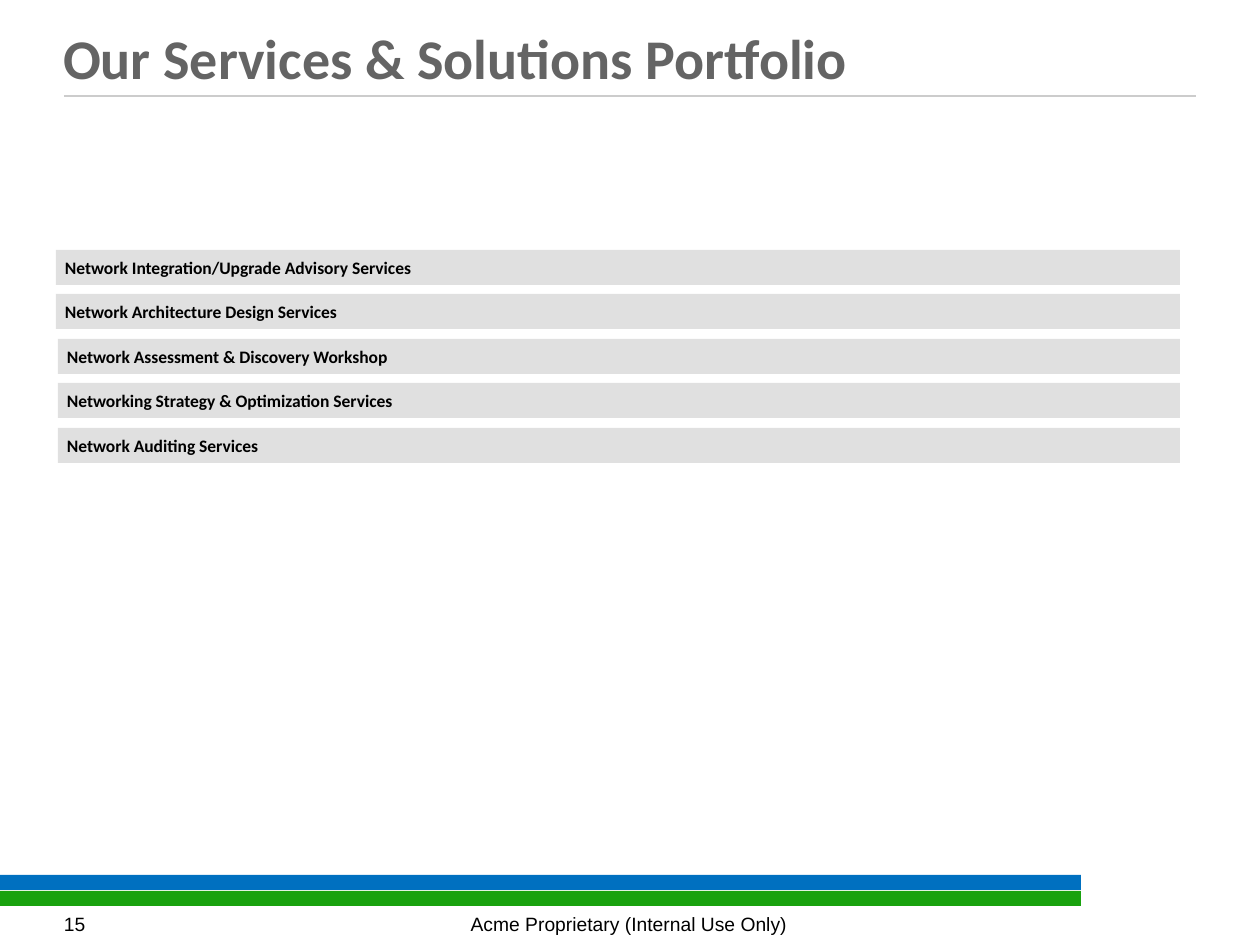
import pptx
import pptx.dml.color
import pptx.enum.shapes
import pptx.enum.text
import pptx.oxml.ns
import pptx.util
from lxml import etree

TITLE = "Our Services & Solutions Portfolio"
SERVICES = [
    ("Network Integration/Upgrade Advisory Services", 56),
    ("Network Architecture Design Services", 56),
    ("Network Assessment & Discovery Workshop", 58),
    ("Networking Strategy & Optimization Services", 58),
    ("Network Auditing Services", 58),
]
STRIPES = [("blue", 875), ("green", 891)]
FOOTERS = [
    ("15", (64, 912, 110, 23), "LEFT"),
    ("Acme Proprietary (Internal Use Only)", (392, 912, 474, 23), "CENTER"),
]
COLORS = {
    "blue": "0070C0",
    "green": "19A20E",
    "rule": "CCCCCC",
    "title": "646464",
    "bar": "E0E0E0",
    "text": "000000",
}
BAR_TOP, BAR_HEIGHT, BAR_RIGHT = 250, 35, 1180
TWO_BAR_PITCH = 89
PX = 914400 // 126


def px(*lengths):
    return [pptx.util.Emu(length * PX) for length in lengths]


def rgb(name):
    return pptx.dml.color.RGBColor.from_string(COLORS[name])


def write(shape, text, size, font="Calibri", color="text", bold=False,
          align="LEFT", anchor="MIDDLE", margins=(0, 0), spacing=None):
    frame = shape.text_frame
    frame.word_wrap = True
    frame.auto_size = pptx.enum.text.MSO_AUTO_SIZE.NONE
    frame.vertical_anchor = pptx.enum.text.MSO_ANCHOR[anchor]
    frame.margin_left, frame.margin_top = px(*margins)
    frame.margin_right, frame.margin_bottom = px(*margins)
    frame.text = text
    paragraph = frame.paragraphs[0]
    paragraph.alignment = pptx.enum.text.PP_ALIGN[align]
    if spacing:
        paragraph.line_spacing = spacing
    run_font = paragraph.runs[0].font
    run_font.name = font
    run_font.size = pptx.util.Pt(size)
    run_font.bold = bold
    run_font.color.rgb = rgb(color)


def add_bar(slide, box, color):
    bar = slide.shapes.add_shape(pptx.enum.shapes.MSO_SHAPE.RECTANGLE, *px(*box))
    bar.shadow.inherit = False
    bar.fill.solid()
    bar.fill.fore_color.rgb = rgb(color)
    bar.line.fill.background()
    return bar


def main():
    deck = pptx.Presentation()
    deck.slide_width, deck.slide_height = px(1260, 945)
    slide = deck.slides.add_slide(deck.slide_layouts[5])

    title = slide.shapes.title
    title.left, title.top, title.width, title.height = px(63, 34, 1132, 62)
    write(title, TITLE, 32, color="title", bold=True, anchor="TOP", spacing=0.85)

    for color, top in STRIPES:
        add_bar(slide, (0, top, 1081, 15), color)

    rule = slide.shapes.add_connector(
        pptx.enum.shapes.MSO_CONNECTOR.STRAIGHT, *px(64, 96, 1196, 96))
    rule.line.color.rgb = rgb("rule")
    rule.line.width = pptx.util.Pt(1)
    etree.SubElement(rule._element.spPr, pptx.oxml.ns.qn("a:effectLst"))

    for row, (service, left) in enumerate(SERVICES):
        top = BAR_TOP + row * TWO_BAR_PITCH // 2
        bar = add_bar(slide, (left, top, BAR_RIGHT - left, BAR_HEIGHT), "bar")
        write(bar, service, 10, bold=True, margins=(9, 5))

    for footer, box, align in FOOTERS:
        write(slide.shapes.add_textbox(*px(*box)), footer, 11, font="Arial", align=align)

    deck.save("out.pptx")


if __name__ == "__main__":
    main()
